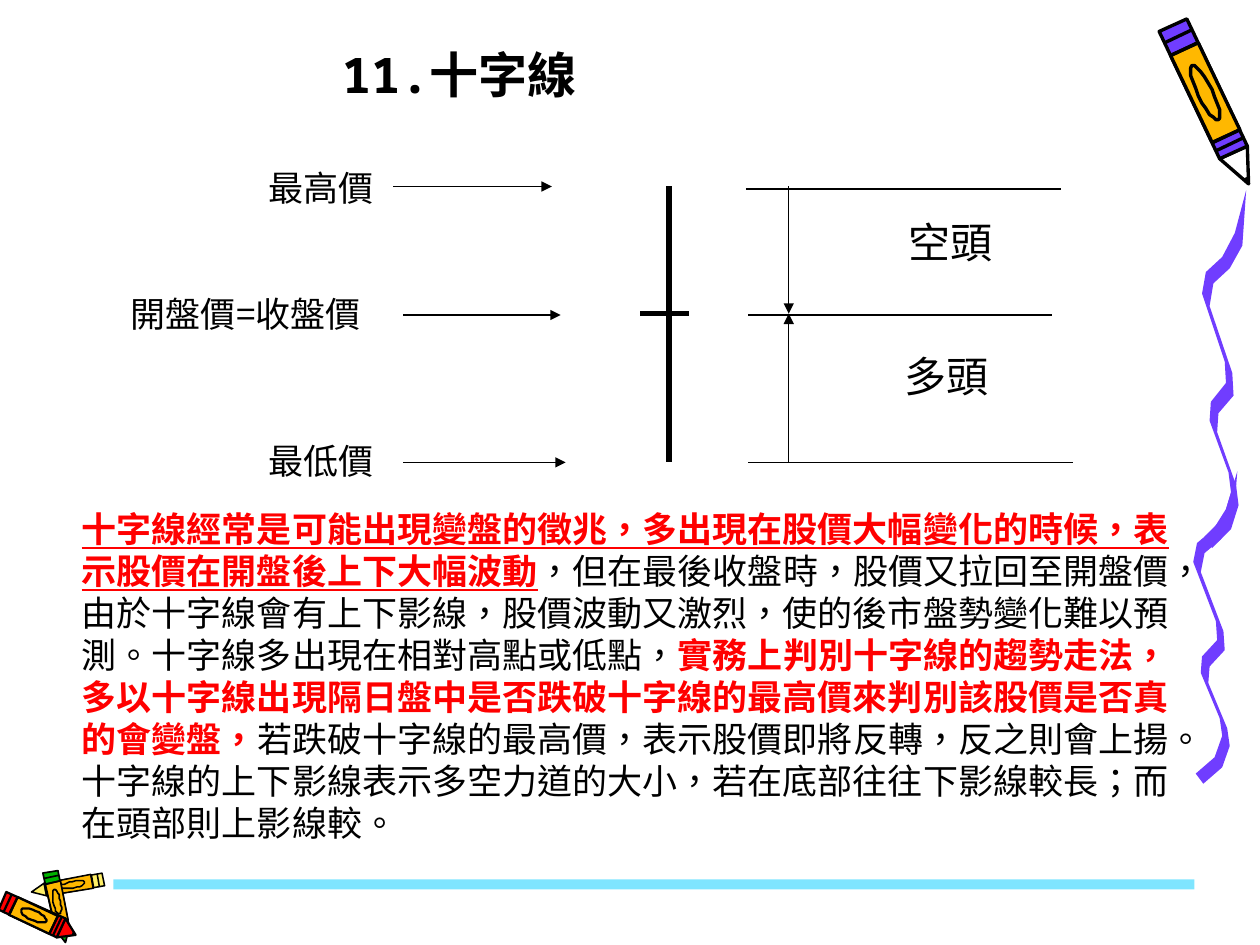
from math import cos, hypot, pi, sin

from lxml import etree
from pptx import Presentation, util as u
from pptx.dml.color import RGBColor
from pptx.enum import lang, shapes, text
from pptx.oxml.ns import qn

BLACK, WHITE, RED = "000000", "FFFFFF", "FF0000"
PURPLE, AMBER, GREEN, CREAM, AQUA = "703DFF", "FFB800", "00B200", "FFEF66", "00CCFF"
CJK = "Noto Sans CJK TC"
LEFT, CENTER = text.PP_ALIGN.LEFT, text.PP_ALIGN.CENTER

TITLE = ("11.十字線", (1.81, 0.04, 3.67, 0.83))
PRICES = [
    ("最高價", (2.03, 1.27, 1.12, 0.35)),
    ("開盤價=收盤價", (0.94, 2.27, 2.19, 0.41)),
    ("最低價", (2.03, 3.44, 1.12, 0.36)),
]
FORCES = [("空頭", (6.75, 1.67, 1.58, 0.5)), ("多頭", (6.72, 2.73, 1.58, 0.5))]
EXPLANATION = [
    ("十字線經常是可能出現變盤的徵兆，多出現在股價大幅變化的時候，表示股價在開盤後上下大幅波動", RED, True, True),
    ("，但在最後收盤時，股價又拉回至開盤價，由於十字線會有上下影線，股價波動又激烈，"
     "使的後市盤勢變化難以預測。十字線多出現在相對高點或低點，", BLACK, False, False),
    ("實務上判別十字線的趨勢走法，多以十字線出現隔日盤中是否跌破十字線的最高價來判別該股價是否真的會變盤，",
     RED, True, False),
    ("若跌破十字線的最高價，表示股價即將反轉，反之則會上揚。十字線的上下影線表示多空力道的大小，"
     "若在底部往往下影線較長；而在頭部則上影線較。", BLACK, False, False),
]

HIGH, OPEN, LOW = 1.48, 2.5, 3.67
CROSS_X, FORCE_X = 5.31, 6.26
CROSS = [(CROSS_X, HIGH, CROSS_X, OPEN), (CROSS_X, OPEN, CROSS_X, LOW), (5.08, 2.49, 5.47, 2.49)]
LEVELS = [(5.92, 1.5, 8.42, 1.5), (5.94, OPEN, 8.35, OPEN), (5.94, LOW, 8.52, LOW)]
PRICE_ARROWS = [(3.12, HIGH, 4.38, HIGH), (3.2, OPEN, 4.45, OPEN), (3.2, LOW, 4.49, LOW)]
FORCE_ARROWS = [(FORCE_X, start, FORCE_X, 2.49) for start in (HIGH, LOW)]

# tail, tip, width, colour of the ends, colour of the point
CRAYONS = [
    ((9.31, 0.2), (9.91, 1.46), 0.24, PURPLE, WHITE),
    ((0.82, 6.98), (0.25, 7.08), 0.11, CREAM, CREAM),
    ((0.4, 6.92), (0.52, 7.48), 0.12, GREEN, GREEN),
    ((0.02, 7.15), (0.6, 7.42), 0.16, RED, RED),
]
WRAPPER_START, WRAPPER_END, SHOULDER = 0.15, 0.7, 0.8
BANDS = (0.07, WRAPPER_START, WRAPPER_END, 0.75)

SQUIGGLE_BENDS = [(0.35, 0), (0.29, 0.34), (0.19, 0.5), (0.06, 0.61), (0.03, 0.76), (0.21, 1.23),
                  (0.22, 1.38), (0.1, 1.51), (0.09, 1.64), (0.24, 2), (0.26, 2.14), (0.2, 2.31),
                  (0.05, 2.44)]
SQUIGGLES = [(9.47, 3.74, 1), (9.54, 1.51, 1.145)]


def inches(*values):
    return [u.Cm(2.54 * v) for v in values]


def color(code):
    return RGBColor.from_string(code)


def paint(shape, fill, line=None, width=0.75):
    shape.shadow.inherit = False
    shape.fill.solid()
    shape.fill.fore_color.rgb = color(fill)
    if line:
        shape.line.color.rgb = color(line)
        shape.line.width = u.Pt(width)
    else:
        shape.line.fill.background()


def outline(points, fill, line=None, width=0.75):
    hundredths = [(100 * x, 100 * y) for x, y in points]
    builder = slide.shapes.build_freeform(*hundredths[0], scale=u.Cm(2.54) / 100)
    builder.add_line_segments(hundredths[1:], close=True)
    paint(builder.convert_to_shape(), fill, line, width)


def rule(ends, width, arrow=False):
    line = slide.shapes.add_connector(shapes.MSO_CONNECTOR.STRAIGHT, *inches(*ends))
    line.line.color.rgb = color(BLACK)
    line.line.width = u.Pt(width)
    if arrow:
        etree.SubElement(line.line._get_or_add_ln(), qn("a:tailEnd"), type="triangle")
    etree.SubElement(line._element.spPr, qn("a:effectLst"))


def draw_crayon(tail, tip, width, end_fill, point_fill):
    dx, dy = tip[0] - tail[0], tip[1] - tail[1]
    length = hypot(dx, dy)
    pen = 8 * width

    def at(along, across):
        offset = across * width / length
        return tail[0] + along * dx - offset * dy, tail[1] + along * dy + offset * dx

    def section(start, end):
        return [at(start, -0.5), at(end, -0.5), at(end, 0.5), at(start, 0.5)]

    outline([at(SHOULDER, -0.5), at(1, 0), at(SHOULDER, 0.5)], point_fill, BLACK, pen)
    outline(section(0, SHOULDER), end_fill, BLACK, pen)
    outline(section(WRAPPER_START, WRAPPER_END), AMBER, BLACK, pen)
    outline([at(0.96, -0.1), at(1, 0), at(0.96, 0.1)], BLACK)
    for band in BANDS:
        rule((*at(band, -0.5), *at(band, 0.5)), pen)
    middle = (WRAPPER_START + WRAPPER_END) / 2
    angles = [2 * pi * step / 24 for step in range(24)]
    outline([at(middle + 0.17 * cos(a), 0.25 * sin(a)) for a in angles], AMBER, BLACK, pen)


def draw_squiggle(left, top, stretch):
    def edge(side):
        return [(left + x + side * 0.03, top + (y + side * 0.04) * stretch)
                for x, y in SQUIGGLE_BENDS[1:]]

    start_x, start_y = SQUIGGLE_BENDS[0]
    outline([(left + start_x, top + start_y)] + edge(-1) + edge(1)[::-1], PURPLE)


def write(shape, words, size, latin, align, anchor=text.MSO_ANCHOR.TOP):
    frame = shape.text_frame
    frame.word_wrap = True
    frame.vertical_anchor = anchor
    paragraph = frame.paragraphs[0]
    paragraph.text = words
    paragraph.alignment = align
    font = paragraph.font
    font.size = u.Pt(size)
    font.name = latin
    font.color.rgb = color(BLACK)
    etree.SubElement(font._element, qn("a:ea"), typeface=CJK)
    return paragraph


prs = Presentation()
prs.slide_width, prs.slide_height = inches(10, 7.5)
slide = prs.slides.add_slide(prs.slide_layouts[6])

for squiggle in SQUIGGLES:
    draw_squiggle(*squiggle)
for crayon in CRAYONS:
    draw_crayon(*crayon)

footer_bar = slide.shapes.add_shape(shapes.MSO_SHAPE.RECTANGLE, *inches(0.9, 6.98, 8.58, 0.08))
paint(footer_bar, AQUA)
footer_color = footer_bar._element.spPr.find(qn("a:solidFill"))[0]
etree.SubElement(footer_color, qn("a:alpha"), val="50000")

title = write(slide.shapes.add_textbox(*inches(*TITLE[1])), TITLE[0], 28, "Noto Sans Mono",
              CENTER, text.MSO_ANCHOR.BOTTOM)
title.font.bold = True
for words, place in PRICES:
    price = slide.shapes.add_shape(shapes.MSO_SHAPE.RECTANGLE, *inches(*place))
    paint(price, WHITE, WHITE)
    write(price, words, 20, CJK, LEFT)
for words, place in FORCES:
    write(slide.shapes.add_textbox(*inches(*place)), words, 24, "Times New Roman", CENTER)

explanation = write(slide.shapes.add_textbox(*inches(0.55, 3.98, 9.08, 2.86)), "", 20,
                    "Noto Sans CJK SC", LEFT)
explanation.line_spacing = u.Pt(24)
for words, ink, bold, underline in EXPLANATION:
    run = explanation.add_run()
    run.text = words
    run.font.color.rgb = color(ink)
    run.font.bold = bold
    run.font.underline = underline
    run.font.language_id = lang.MSO_LANGUAGE_ID.TRADITIONAL_CHINESE

for ends in CROSS:
    rule(ends, 3)
for ends in LEVELS:
    rule(ends, 0.75)
for ends in PRICE_ARROWS + FORCE_ARROWS:
    rule(ends, 0.75, arrow=True)

prs.save("out.pptx")
